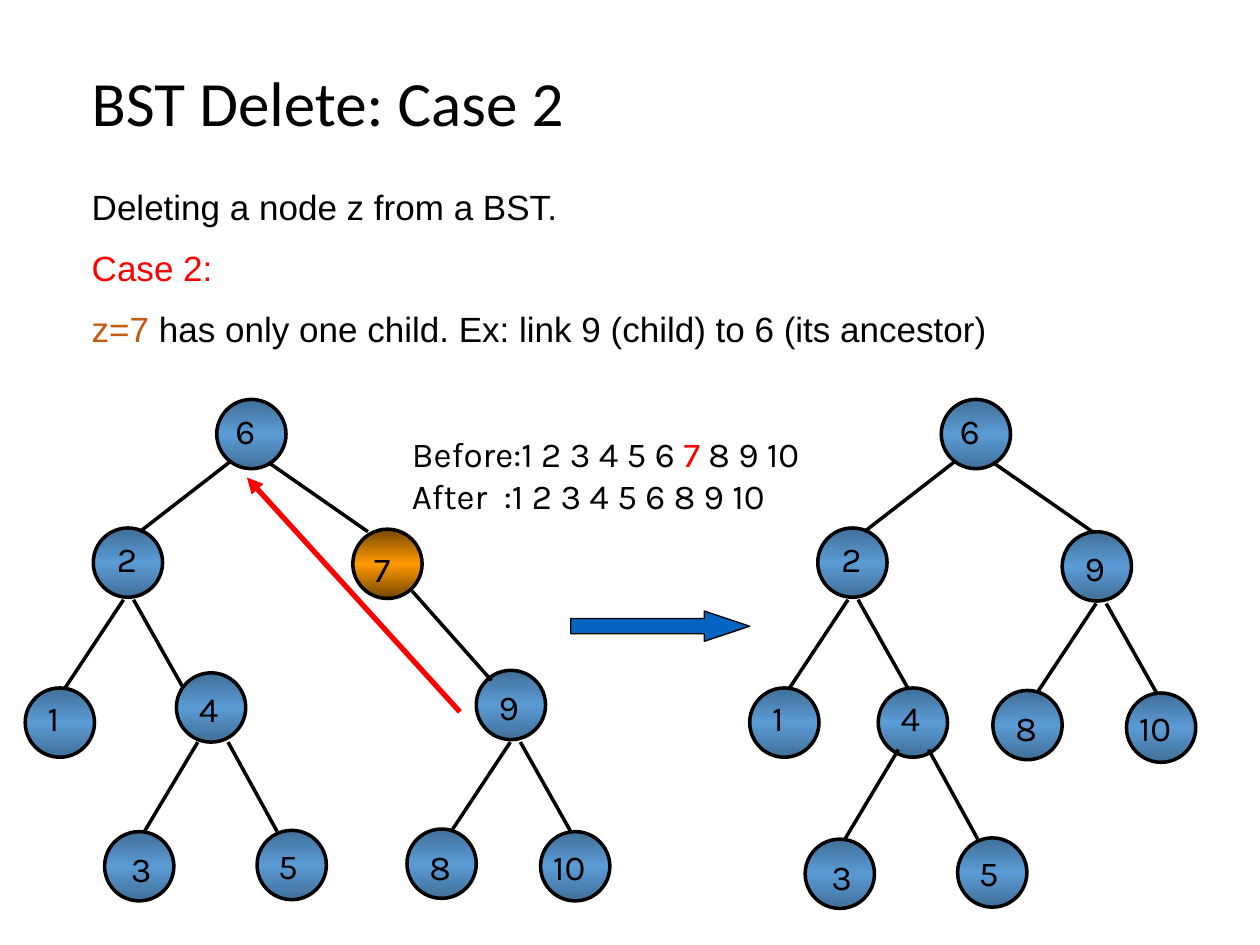
from copy import deepcopy

from lxml import etree
from pptx import Presentation
from pptx.dml.color import RGBColor
from pptx.enum.shapes import MSO_CONNECTOR, MSO_SHAPE
from pptx.enum.text import MSO_ANCHOR
from pptx.oxml.ns import qn
from pptx.util import Inches, Pt

STRAIGHT = MSO_CONNECTOR.STRAIGHT
OVAL, ARROW = MSO_SHAPE.OVAL, MSO_SHAPE.RIGHT_ARROW
TOP, MIDDLE = MSO_ANCHOR.TOP, MSO_ANCHOR.MIDDLE

COLORS = {
    "black": "000000", "red": "FF0000", "brown": "C55A11", "arrow": "0563C1",
    "blue": "5B9BD5", "blue_dark": "416F98",
    "orange": "FF9900", "orange_dark": "764700",
}
NODE = 0.55  # node diameter, inches

# Content: each paragraph is a list of (text, colour) runs
TITLE = [[("BST Delete: Case 2", "black")]]
BODY = [
    [("Deleting a node z from a BST.", "black")],
    [("Case 2:", "red")],
    [("z=7 ", "brown"),
     ("has only one child. Ex: link 9 (child) to 6 (its ancestor)", "black")],
]
ORDERS = [[("Before:1 2 3 4 5 6 ", "black"), ("7", "red"),
           (" 8 9 10\nAfter  :1 2 3 4 5 6 8 9 10", "black")]]

# Subtrees: nodes are (key, left, top, label dx, label dy), edges (x1, y1, x2, y2)
UPPER = {
    "nodes": [("1", 0.2, 5.46, 0.08, 0.02), ("2", 0.74, 4.19, 0.09, 0.03),
              ("6", 1.72, 3.17, 0.05, 0.03)],
    "edges": [(1.06, 4.76, 1.46, 5.47), (0.98, 4.76, 0.51, 5.47),
              (1.82, 3.67, 1.11, 4.22), (2.13, 3.67, 2.92, 4.22)],
}
FOUR_OLD = {"nodes": [("4", 1.4, 5.34, 0.08, 0.07)], "edges": []}
FOUR_NEW = {"nodes": [("4", 6.97, 5.46, 0.08, 0.02)], "edges": []}
FOUR_CHILDREN = {
    "nodes": [("3", 0.83, 6.6, 0.11, 0.08), ("5", 2.04, 6.59, 0.07, 0.06)],
    "edges": [(1.57, 5.89, 1.14, 6.61), (1.81, 5.89, 2.2, 6.6)],
}
SEVEN = {"nodes": [("7", 2.8, 4.2, 0.07, 0.1)],
         "edges": [(3.27, 4.69, 3.9, 5.4)]}
NINE = {
    "nodes": [("9", 3.78, 5.32, 0.08, 0.07), ("8", 3.23, 6.58, 0.08, 0.08),
              ("10", 4.29, 6.6, 0, 0.06)],
    "edges": [(4.13, 5.89, 4.53, 6.6), (4.05, 5.89, 3.58, 6.6)],
}

# Trees before and after deletion: (subtree, shift x, shift y)
BEFORE = [(UPPER, 0, 0), (FOUR_OLD, 0, 0), (FOUR_CHILDREN, 0, 0),
          (NINE, 0, 0), (SEVEN, 0, 0)]
AFTER = [(UPPER, 5.75, 0), (FOUR_NEW, 0, 0), (FOUR_CHILDREN, 5.56, 0.06),
         (NINE, 4.65, -1.1)]


def rgb(name):
    return RGBColor.from_string(COLORS[name])


def add_text(slide, box, paras, font, size=20, anchor=TOP, before=0, spacing=None):
    tf = slide.shapes.add_textbox(*map(Inches, box)).text_frame
    tf.word_wrap = True
    tf.vertical_anchor = anchor
    for i, runs in enumerate(paras):
        p = tf.add_paragraph() if i else tf.paragraphs[0]
        if i:
            p.space_before = Pt(before)
        if spacing:
            p.line_spacing = spacing
        for text, color in runs:
            for j, part in enumerate(text.split("\n")):
                if j:
                    p.add_line_break()
                r = p.add_run()
                r.text = part
                r.font.name, r.font.size = font, Pt(size)
                r.font.color.rgb = rgb(color)


def add_line(slide, ends, color="black", width=2, head=False):
    line = slide.shapes.add_connector(STRAIGHT, *map(Inches, ends))
    line.line.color.rgb = rgb(color)
    line.line.width = Pt(width)
    if head:
        etree.SubElement(line.line._get_or_add_ln(), qn("a:tailEnd"), type="triangle")
    etree.SubElement(line._element.spPr, qn("a:effectLst"))


def add_node(slide, key, x, y, dx, dy):
    sp = slide.shapes.add_shape(OVAL, *map(Inches, (x, y, NODE, NODE)))
    sp.shadow.inherit = False
    sp.line.color.rgb = rgb("black")
    sp.line.width = Pt(2)
    # Dark - light - dark vertical gradient
    hue = "orange" if key == "7" else "blue"
    sp.fill.gradient()
    sp.fill.gradient_angle = 90
    stops = sp._element.spPr.find(".//" + qn("a:gsLst"))
    stops.append(deepcopy(stops[0]))
    for stop, pos, color in zip(sp.fill.gradient_stops, (0, 0.5, 1),
                                (hue + "_dark", hue, hue + "_dark")):
        stop.position = pos
        stop.color.rgb = rgb(color)
    label_w = 0.51 if key in ("5", "10") else 0.4
    add_text(slide, (x + dx, y + dy, label_w, 0.43), [[(key, "black")]], "Karla")


def add_tree(slide, parts):
    for part, sx, sy in parts:
        for key, x, y, dx, dy in part["nodes"]:
            add_node(slide, key, x + sx, y + sy, dx, dy)
        for x1, y1, x2, y2 in part["edges"]:
            add_line(slide, (x1 + sx, y1 + sy, x2 + sx, y2 + sy))


def main():
    prs = Presentation()
    prs.slide_width, prs.slide_height = Inches(10), Inches(7.5)
    s = prs.slides.add_slide(prs.slide_layouts[6])

    # Heading and explanation
    add_text(s, (0.63, 0.21, 9.37, 1.26), TITLE, "Calibri", 36, MIDDLE, spacing=0.9)
    add_text(s, (0.63, 1.42, 8.66, 1.45), BODY, "Arial", before=11)

    # Trees
    add_tree(s, BEFORE)
    add_tree(s, AFTER)

    # Transition arrow
    sp = s.shapes.add_shape(ARROW, *map(Inches, (4.53, 4.85, 1.42, 0.24)))
    sp.shadow.inherit = False
    sp.adjustments[0], sp.adjustments[1] = 0.5, 1.5
    sp.fill.solid()
    sp.fill.fore_color.rgb = rgb("arrow")
    sp.line.color.rgb = rgb("black")
    sp.line.width = Pt(0.75)

    # In-order listings and the new link from 9 to 6
    add_text(s, (3.17, 3.38, 3.85, 0.77), ORDERS, "Karla")
    add_line(s, (3.65, 5.65, 1.96, 3.79), "red", 3, head=True)

    prs.save("out.pptx")


if __name__ == "__main__":
    main()
